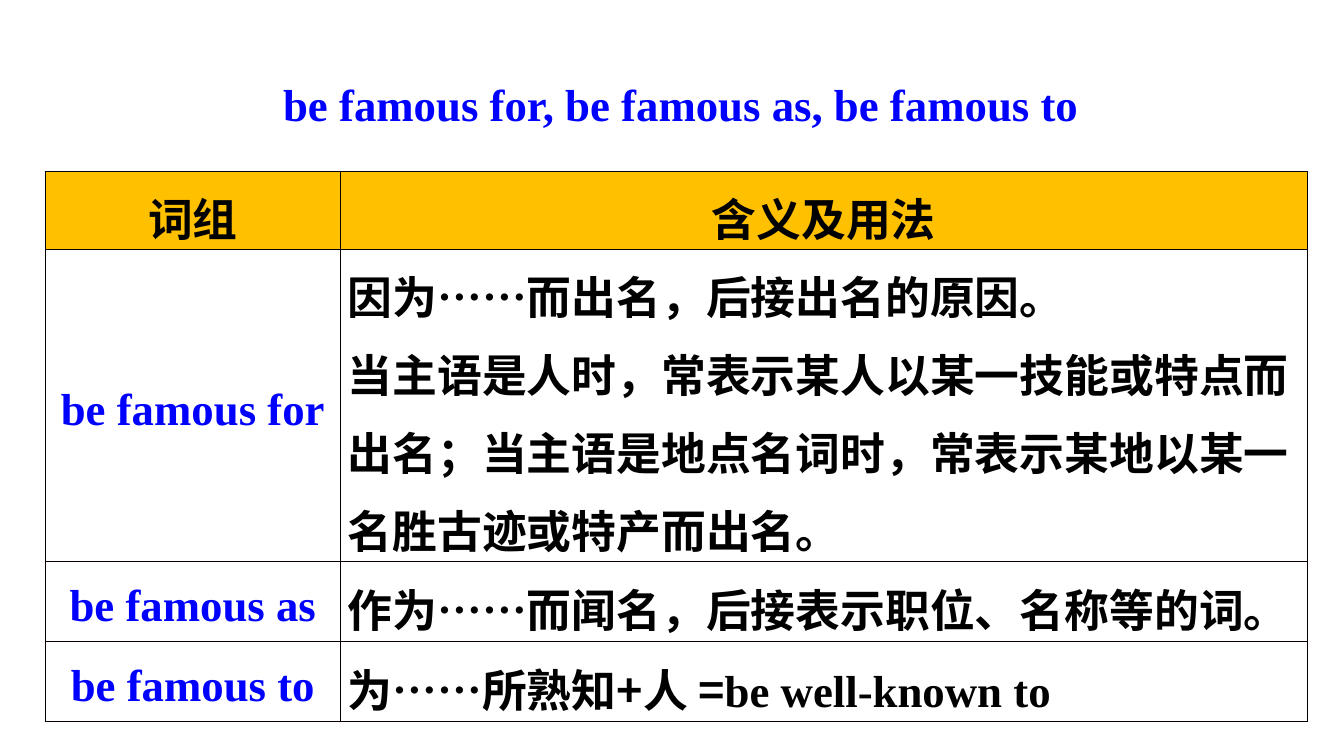
import pptx
import pptx.util
import pptx.dml.color
import pptx.enum.text
import pptx.oxml
import pptx.oxml.ns
from pptx.util import Cm

COLORS = {"blue": "0000FF", "black": "000000", "gold": "FFC000", "border": "080000"}
LATIN, CHINESE = "Times New Roman", "Noto Sans CJK SC"

TITLE = "be famous for, be famous as, be famous to"
HEADERS = ["词组", "含义及用法"]
PHRASES = [
    ("be famous for", [
        [("因为……而出名，后接出名的原因。", CHINESE)],
        [("当主语是人时，常表示某人以某一技能或特点而出名；当主语是地点名词时，"
          "常表示某地以某一名胜古迹或特产而出名。", CHINESE)],
    ]),
    ("be famous as", [[("作为……而闻名，后接表示职位、名称等的词。", CHINESE)]]),
    ("be famous to", [[("为……所熟知+人 =", CHINESE), ("be well-known to", LATIN)]]),
]
COL_WIDTHS = [7.44, 24.36]
ROW_HEIGHTS = [1.96, 7.87, 2.01, 2.01]
ALIGN = pptx.enum.text.PP_ALIGN
MIDDLE = pptx.enum.text.MSO_ANCHOR.MIDDLE


def rgb(name):
    return pptx.dml.color.RGBColor.from_string(COLORS[name])


def add_run(p, text, font, color):
    r = p.add_run()
    r.text = text
    r.font.size = pptx.util.Pt(32)
    r.font.bold = True
    r.font.name = font
    r.font.color.rgb = rgb(color)
    ea = pptx.oxml.parse_xml(
        f'<a:ea {pptx.oxml.ns.nsdecls("a")} typeface="{CHINESE}"/>')
    r.font._element.find(pptx.oxml.ns.qn("a:latin")).addnext(ea)


def add_borders(cell):
    tcPr = cell._tc.get_or_add_tcPr()
    for i, side in enumerate(("lnL", "lnR", "lnT", "lnB")):
        tcPr.insert(i, pptx.oxml.parse_xml(
            f'<a:{side} {pptx.oxml.ns.nsdecls("a")} w="12700"><a:solidFill>'
            f'<a:srgbClr val="{COLORS["border"]}"/></a:solidFill></a:{side}>'))


def fill_cell(cell, paragraphs, color, align, fill=None):
    cell.vertical_anchor = MIDDLE
    cell.margin_left = cell.margin_right = Cm(0.18)
    cell.margin_top = cell.margin_bottom = 0
    if fill:
        cell.fill.solid()
        cell.fill.fore_color.rgb = rgb(fill)
    else:
        cell.fill.background()
    add_borders(cell)
    tf = cell.text_frame
    for i, runs in enumerate(paragraphs):
        p = tf.add_paragraph() if i else tf.paragraphs[0]
        p.alignment = align
        p.line_spacing = 1.2
        for text, font in runs:
            add_run(p, text, font, color)


def main():
    prs = pptx.Presentation()
    prs.slide_width, prs.slide_height = Cm(33.87), Cm(19.05)
    slide = prs.slides.add_slide(prs.slide_layouts[5])

    title = slide.shapes.title
    title.left, title.top, title.width, title.height = Cm(6.88), Cm(1.7), Cm(21.06), Cm(1.83)
    tf = title.text_frame
    tf.word_wrap = True
    tf.auto_size = pptx.enum.text.MSO_AUTO_SIZE.NONE
    tf.vertical_anchor = MIDDLE
    tf.paragraphs[0].alignment = ALIGN.LEFT
    add_run(tf.paragraphs[0], TITLE, LATIN, "blue")

    table = slide.shapes.add_table(
        len(ROW_HEIGHTS), len(COL_WIDTHS), Cm(1.14), Cm(4.32),
        Cm(sum(COL_WIDTHS)), Cm(sum(ROW_HEIGHTS))).table
    table.horz_banding = False
    for col, width in zip(table.columns, COL_WIDTHS):
        col.width = Cm(width)
    for row, height in zip(table.rows, ROW_HEIGHTS):
        row.height = Cm(height)

    for c, header in enumerate(HEADERS):
        fill_cell(table.cell(0, c), [[(header, CHINESE)]], "black", ALIGN.CENTER, "gold")
    for i, (phrase, usage) in enumerate(PHRASES, start=1):
        fill_cell(table.cell(i, 0), [[(phrase, LATIN)]], "blue", ALIGN.CENTER)
        fill_cell(table.cell(i, 1), usage, "black", ALIGN.LEFT)

    prs.save("out.pptx")


if __name__ == "__main__":
    main()
